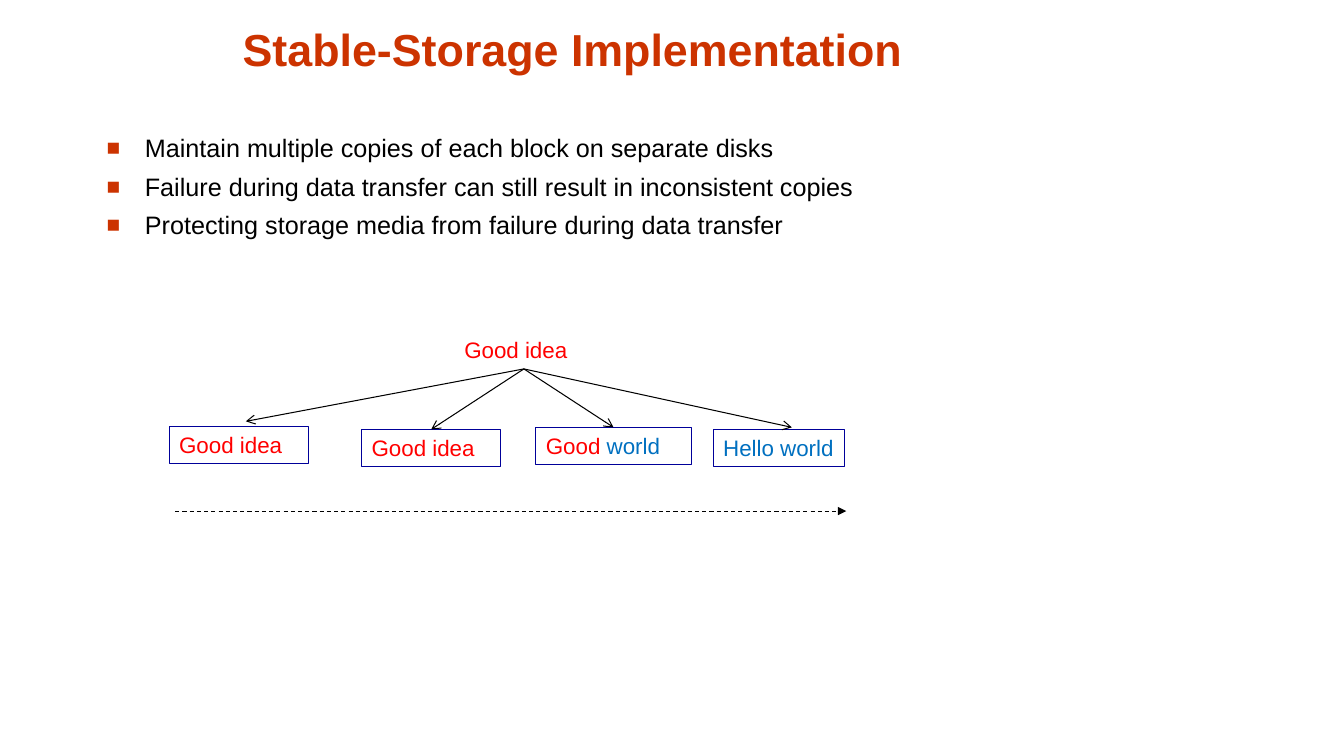
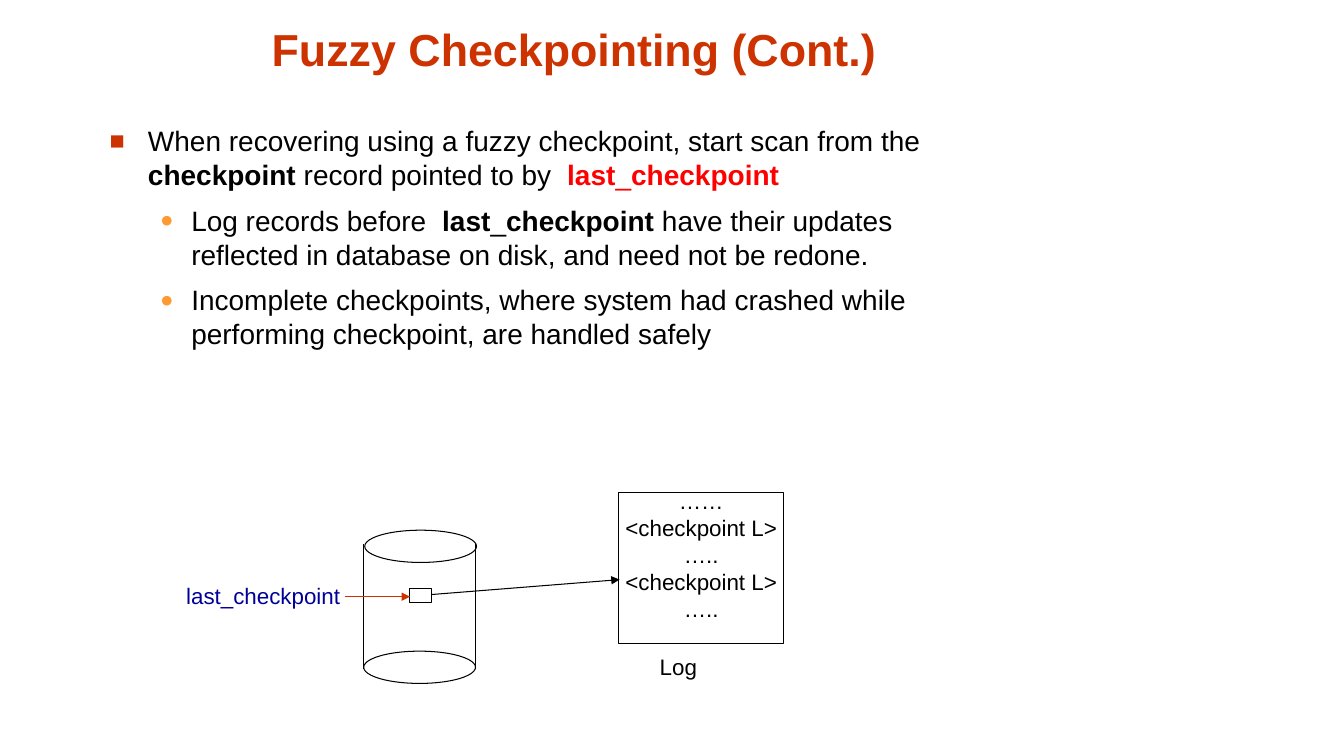
from lxml.etree import SubElement
from pptx import Presentation
from pptx.dml.color import RGBColor
from pptx.enum.dml import MSO_LINE
from pptx.enum.shapes import MSO_CONNECTOR, MSO_SHAPE
from pptx.enum.text import MSO_ANCHOR, PP_ALIGN
from pptx.oxml.ns import qn
from pptx.util import Inches, Pt

RUST = RGBColor(0xCC, 0x33, 0x00)
ORANGE = RGBColor(0xFF, 0x99, 0x33)
RED = RGBColor(0xFF, 0x00, 0x00)
BLUE = RGBColor(0x00, 0x70, 0xC0)
NAVY = RGBColor(0x00, 0x00, 0x99)
BLACK = RGBColor(0x00, 0x00, 0x00)
WHITE = RGBColor(0xFF, 0xFF, 0xFF)

# Per outline level: sign, colour, size in percent, left margin, hanging indent
BULLETS = [("■", RUST, 90, 0.38, 0.38), ("●", ORANGE, 80, 0.81, 0.31)]


class SlideWriter:
    FONT = "Arial"
    TITLE_SIZE = 32
    LABEL_SIZE = 16
    LINE_WIDTH = Pt(0.75)

    def __init__(self, deck):
        self.deck = deck
        self.page = None

    def new_page(self):
        self.page = self.deck.slides.add_slide(self.deck.slide_layouts[6])

    def add_runs(self, para, runs, size):
        """Each run is (text, colour) or (text, colour, bold)."""
        for text, colour, *bold in runs:
            span = para.add_run()
            span.text = text
            span.font.name = self.FONT
            span.font.size = Pt(size)
            span.font.color.rgb = colour
            span.font.bold = bool(bold and bold[0])

    def text_box(self, left, top, width, height, wrap=True):
        box = self.page.shapes.add_textbox(
            Inches(left), Inches(top), Inches(width), Inches(height))
        box.text_frame.word_wrap = wrap
        return box.text_frame

    def title(self, text, left, width):
        frame = self.text_box(left, 0.13, width, 0.67)
        frame.vertical_anchor = MSO_ANCHOR.BOTTOM
        para = frame.paragraphs[0]
        para.alignment = PP_ALIGN.CENTER
        self.add_runs(para, [(text, RUST, True)], self.TITLE_SIZE)

    def bullet(self, para, level):
        sign, colour, percent, margin, hanging = BULLETS[level]
        para.level = level
        props = para._p.get_or_add_pPr()
        props.set("marL", str(Inches(margin)))
        props.set("indent", str(-Inches(hanging)))
        fill = SubElement(props, qn("a:buClr"))
        SubElement(fill, qn("a:srgbClr"), val=str(colour))
        SubElement(props, qn("a:buSzPct"), val=str(percent * 1000))
        SubElement(props, qn("a:buFont"), typeface=self.FONT)
        SubElement(props, qn("a:buChar"), char=sign)

    def outline(self, left, top, items, size, space, line_spacing=1.0):
        """Each item is (level, runs)."""
        frame = self.text_box(left, top, 8.38, 5.36)
        for index, (level, runs) in enumerate(items):
            para = frame.add_paragraph() if index else frame.paragraphs[0]
            self.bullet(para, level)
            para.line_spacing = line_spacing
            para.space_before = Pt(space if index else 0)
            self.add_runs(para, runs, size)

    def label(self, left, top, width, runs, wrap=True):
        frame = self.text_box(left, top, width, 0.37, wrap)
        self.add_runs(frame.paragraphs[0], runs, self.LABEL_SIZE)

    def shape(self, kind, left, top, width, height, line=BLACK, fill=None):
        shape = self.page.shapes.add_shape(
            kind, Inches(left), Inches(top), Inches(width), Inches(height))
        shape.shadow.inherit = False
        if fill is None:
            shape.fill.background()
        else:
            shape.fill.solid()
            shape.fill.fore_color.rgb = fill
        shape.line.color.rgb = line
        shape.line.width = self.LINE_WIDTH
        return shape

    def text_block(self, left, top, width, runs):
        block = self.shape(MSO_SHAPE.RECTANGLE, left, top, width, 0.37, NAVY)
        frame = block.text_frame
        frame.word_wrap = True
        frame.vertical_anchor = MSO_ANCHOR.TOP
        para = frame.paragraphs[0]
        para.alignment = PP_ALIGN.LEFT
        self.add_runs(para, runs, self.LABEL_SIZE)

    def log_block(self, left, top, width, height, lines):
        block = self.shape(MSO_SHAPE.RECTANGLE, left, top, width, height, fill=WHITE)
        frame = block.text_frame
        frame.word_wrap = False
        frame.vertical_anchor = MSO_ANCHOR.MIDDLE
        frame.margin_top, frame.margin_bottom = 0, Inches(0.27)
        for index, text in enumerate(lines):
            para = frame.add_paragraph() if index else frame.paragraphs[0]
            para.alignment = PP_ALIGN.CENTER
            self.add_runs(para, [(text, BLACK)], self.LABEL_SIZE)

    def line(self, start, end, colour=BLACK, head=None, dash=None):
        line = self.page.shapes.add_connector(
            MSO_CONNECTOR.STRAIGHT, *map(Inches, start + end))
        line.line.color.rgb = colour
        line.line.width = self.LINE_WIDTH
        if dash:
            line.line.dash_style = dash
        if head:
            SubElement(line.line._get_or_add_ln(), qn("a:tailEnd"), type=head)
        SubElement(line._element.spPr, qn("a:effectLst"))


def stable_storage(writer):
    writer.new_page()
    writer.title("Stable-Storage Implementation", 1.12, 9.13)
    points = [
        "Maintain multiple copies of each block on separate disks",
        "Failure during data transfer can still result in inconsistent copies",
        "Protecting storage media from failure during data transfer",
    ]
    writer.outline(0.96, 1.3, [(0, [(text, BLACK)]) for text in points],
                   size=18, space=7.9, line_spacing=0.9)

    # Source value and its copies, each with the tip of its arrow
    good_idea = [("Good idea", RED)]
    writer.label(4.51, 3.29, 1.38, good_idea)
    copies = [
        (1.68, 4.23, 1.38, good_idea, (2.44, 4.18)),
        (3.59, 4.26, 1.38, good_idea, (4.28, 4.26)),
        (5.32, 4.24, 1.54, [("Good ", RED), ("world", BLUE)], (6.09, 4.24)),
        (7.08, 4.26, 1.3, [("Hello world", BLUE)], (7.86, 4.24)),
    ]
    for left, top, width, runs, tip in copies:
        writer.text_block(left, top, width, runs)
        writer.line((5.2, 3.66), tip, head="arrow")

    # Time axis
    writer.line((1.74, 5.07), (8.4, 5.07), head="triangle", dash=MSO_LINE.DASH)


def fuzzy_checkpointing(writer):
    writer.new_page()
    writer.title("Fuzzy Checkpointing (Cont.)", 2.51, 6.38)
    writer.outline(0.99, 1.18, [
        (0, [("When recovering using a fuzzy checkpoint, start scan from the ", BLACK),
             ("checkpoint", BLACK, True),
             (" record pointed to by ", BLACK),
             (" last", RED, True), ("_", RED), ("checkpoint", RED, True)]),
        (1, [("Log records before ", BLACK),
             (" last", BLACK, True), ("_", BLACK), ("checkpoint", BLACK, True),
             (" have their updates reflected in database on disk, "
              "and need not be redone.", BLACK)]),
        (1, [("Incomplete checkpoints, where system had crashed while "
              "performing checkpoint, are handled safely", BLACK)]),
    ], size=20, space=8.8)

    # Log
    writer.log_block(6.14, 4.89, 1.64, 1.49, [
        "……", "<checkpoint L>", "…..", "<checkpoint L>", "….."])
    writer.label(6.45, 6.43, 0.57, [("Log", BLACK)], wrap=False)

    # Disk
    writer.shape(MSO_SHAPE.OVAL, 3.62, 5.26, 1.11, 0.32)
    writer.shape(MSO_SHAPE.OVAL, 3.61, 6.46, 1.11, 0.32, fill=WHITE)
    for side in (3.61, 4.72):
        writer.line((side, 5.4), (side, 6.64))

    # Pointer from the disk into the log
    writer.line((4.26, 5.9), (6.15, 5.75), head="triangle")
    writer.label(1.75, 5.73, 1.73, [("last_checkpoint", NAVY)], wrap=False)
    writer.shape(MSO_SHAPE.RECTANGLE, 4.06, 5.84, 0.22, 0.14, fill=WHITE)
    writer.line((3.42, 5.92), (4.07, 5.92), RUST, head="triangle")


def main():
    deck = Presentation()
    deck.slide_width, deck.slide_height = Inches(13.34), Inches(7.5)
    writer = SlideWriter(deck)
    stable_storage(writer)
    fuzzy_checkpointing(writer)
    deck.save("out.pptx")


if __name__ == "__main__":
    main()
